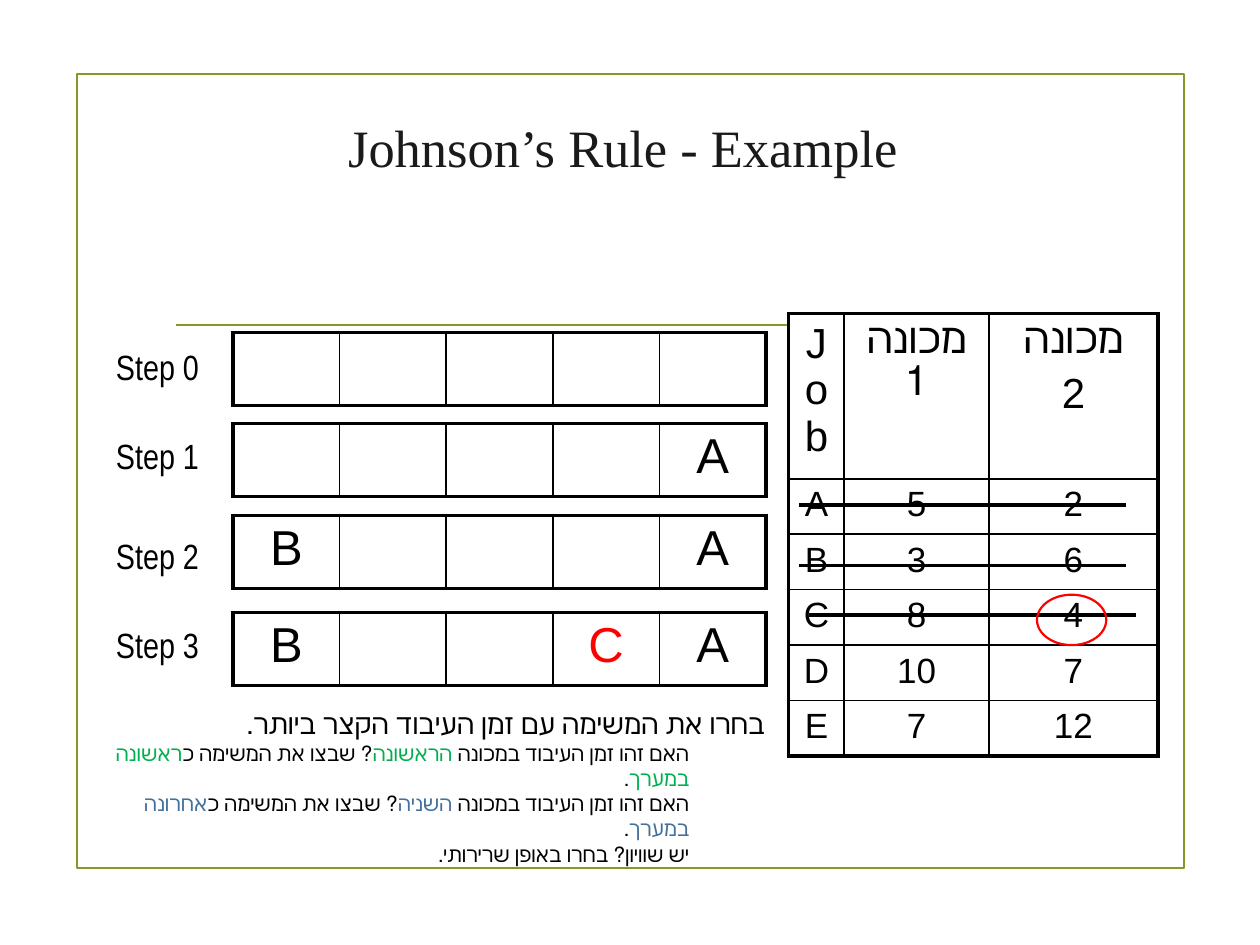
"""Build the Johnson's Rule example slide."""
from dataclasses import dataclass
from typing import NamedTuple

from lxml import etree
from pptx import Presentation, util as u
from pptx.dml.color import RGBColor
from pptx.enum import shapes, text
from pptx.oxml.ns import qn


@dataclass(frozen=True)
class Theme:
    black: str = "000000"
    white: str = "FFFFFF"
    title: str = "1A1A1A"
    olive: str = "83992A"
    red: str = "FF0000"
    green: str = "00B050"
    blue: str = "44709D"
    body_font: str = "Arial"
    label_font: str = "Arial Narrow"
    title_font: str = "Times New Roman"
    title_size: int = 30
    slot_size: int = 28
    heading_size: int = 24
    job_size: int = 20
    rule_size: int = 16
    detail_size: int = 12
    thin: float = 1
    accent: float = 1.25
    strike: float = 2
    thick: float = 2.25


class Step(NamedTuple):
    label: str
    label_top: float
    slots_top: float
    slots: str
    newest: str = ""


class Strike(NamedTuple):
    left: float
    top: float


class Span(NamedTuple):
    words: str
    color: str


class Rule(NamedTuple):
    spans: list[Span]
    size: int
    level: int
    indent: float


THEME = Theme()
STEPS = [
    Step("Step 0", 2.69, 2.64, "     "),
    Step("Step 1", 3.4, 3.36, "    A"),
    Step("Step 2", 4.19, 4.09, "B   A"),
    Step("Step 3", 4.9, 4.86, "B  CA", "C"),
]
JOBS = [
    ("Job", "מכונה 1", "מכונה\n2"),
    ("A", "5", "2"),
    ("B", "3", "6"),
    ("C", "8", "4"),
    ("D", "10", "7"),
    ("E", "7", "12"),
]
JOB_WIDTHS = (0.44, 1.15, 1.34)
HEADING_HEIGHT, JOB_HEIGHT = 1.31, 0.44
STRIKES = [Strike(6.34, 4.01), Strike(6.34, 4.49), Strike(6.42, 4.88)]
STRIKE_LENGTH = 2.6


def detail(*spans: Span) -> Rule:
    return Rule(list(spans), THEME.detail_size, 1, 0.65)


RULES = [
    Rule([Span("בחרו את המשימה עם זמן העיבוד הקצר ביותר.", THEME.black)], THEME.rule_size, 0, 0.05),
    detail(
        Span("האם זהו זמן העיבוד במכונה ", THEME.black),
        Span("הראשונה", THEME.green),
        Span("? שבצו את המשימה כ", THEME.black),
        Span("ראשונה במערך", THEME.green),
        Span(".", THEME.black),
    ),
    detail(
        Span("האם זהו זמן העיבוד במכונה ", THEME.black),
        Span("השניה", THEME.blue),
        Span("? שבצו את המשימה כ", THEME.black),
        Span("אחרונה במערך", THEME.blue),
        Span(".", THEME.black),
    ),
    detail(Span("יש שוויון? בחרו באופן שרירותי.", THEME.black)),
]


def style(paragraph, face: str, size: int, color: str) -> None:
    paragraph.font.name = face
    paragraph.font.size = u.Pt(size)
    paragraph.font.color.rgb = RGBColor.from_string(color)


def align_rtl(paragraph) -> None:
    paragraph.alignment = text.PP_ALIGN.RIGHT
    paragraph._p.get_or_add_pPr().set("rtl", "1")


def add_frame(slide, left: float, top: float, width: float, height: float, inset: float = 0.1):
    frame = slide.shapes.add_textbox(*map(u.Inches, (left, top, width, height))).text_frame
    frame.word_wrap = True
    frame.margin_left = frame.margin_right = u.Inches(inset)
    return frame


def add_outline(slide, preset, left: float, top: float, width: float, height: float, color: str) -> None:
    outline = slide.shapes.add_shape(preset, *map(u.Inches, (left, top, width, height)))
    outline.shadow.inherit = False
    outline.fill.background()
    outline.line.color.rgb = RGBColor.from_string(color)
    outline.line.width = u.Pt(THEME.accent)


def add_line(slide, left: float, top: float, length: float, color: str, weight: float) -> None:
    line = slide.shapes.add_connector(
        shapes.MSO_CONNECTOR.STRAIGHT, *map(u.Inches, (left, top, left + length, top)))
    line.line.color.rgb = RGBColor.from_string(color)
    line.line.width = u.Pt(weight)
    etree.SubElement(line._element.spPr, qn("a:effectLst"))


def add_border(cell, edge: str, weight: float) -> None:
    border = etree.SubElement(cell._tc.get_or_add_tcPr(), qn(f"a:ln{edge}"), w=str(u.Pt(weight)))
    fill = etree.SubElement(border, qn("a:solidFill"))
    etree.SubElement(fill, qn("a:srgbClr"), val=THEME.black)


def add_grid(slide, left: float, top: float, width: float, height: float, rows: int, columns: int):
    grid = slide.shapes.add_table(rows, columns, *map(u.Inches, (left, top, width, height))).table
    grid.first_row = grid.horz_banding = False
    for row in range(rows):
        for column in range(columns):
            cell = grid.cell(row, column)
            outer = {"L": column == 0, "R": column == columns - 1, "T": row == 0, "B": row == rows - 1}
            for edge, is_outer in outer.items():
                add_border(cell, edge, THEME.thick if is_outer else THEME.thin)
            cell.fill.solid()
            cell.fill.fore_color.rgb = RGBColor.from_string(THEME.white)
            cell.margin_left = cell.margin_right = u.Inches(0.11)
    return grid


def write_cell(cell, words: str, size: int, color: str = THEME.black) -> None:
    cell.text = words
    for index, paragraph in enumerate(cell.text_frame.paragraphs):
        paragraph.alignment = text.PP_ALIGN.CENTER
        if index:
            paragraph.space_before = u.Pt(0.2 * size)
        style(paragraph, THEME.body_font, size, color)


def add_step(slide, step: Step) -> None:
    label = add_frame(slide, 0.73, step.label_top, 0.96, 0.45, 0.11).paragraphs[0]
    label.text = step.label
    align_rtl(label)
    style(label, THEME.label_font, THEME.job_size, THEME.black)
    sequence = add_grid(slide, 1.85, step.slots_top, 4.23, 0.58, 1, len(step.slots))
    for column, job in enumerate(step.slots):
        if job.strip():
            color = THEME.red if job == step.newest else THEME.black
            write_cell(sequence.cell(0, column), job, THEME.slot_size, color)


def add_jobs(slide) -> None:
    heights = [HEADING_HEIGHT] + [JOB_HEIGHT] * (len(JOBS) - 1)
    jobs = add_grid(slide, 6.26, 2.49, sum(JOB_WIDTHS), sum(heights), len(JOBS), len(JOB_WIDTHS))
    for column, width in enumerate(JOB_WIDTHS):
        jobs.columns[column].width = u.Inches(width)
    for row, (height, entries) in enumerate(zip(heights, JOBS)):
        jobs.rows[row].height = u.Inches(height)
        for column, entry in enumerate(entries):
            write_cell(jobs.cell(row, column), entry, THEME.job_size if row else THEME.heading_size)


def add_rules(slide) -> None:
    frame = add_frame(slide, 0.68, 5.56, 5.54, 1.38)
    for index, rule in enumerate(RULES):
        paragraph = frame.add_paragraph() if index else frame.paragraphs[0]
        align_rtl(paragraph)
        paragraph.level = rule.level
        properties = paragraph._p.get_or_add_pPr()
        properties.set("marL", str(u.Inches(rule.indent)))
        properties.set("indent", "0")
        style(paragraph, THEME.body_font, rule.size, THEME.black)
        for span in rule.spans:
            run = paragraph.add_run()
            run.text = span.words
            if span.color != THEME.black:
                run.font.color.rgb = RGBColor.from_string(span.color)


def main() -> None:
    deck = Presentation()
    deck.slide_width, deck.slide_height = u.Inches(10), u.Inches(7.5)
    slide = deck.slides.add_slide(deck.slide_layouts[6])
    add_outline(slide, shapes.MSO_SHAPE.RECTANGLE, 0.61, 0.59, 8.79, 6.3, THEME.olive)
    add_line(slide, 1.4, 2.58, 7.21, THEME.olive, THEME.accent)
    heading = add_frame(slide, 1.61, 0.71, 6.67, 0.91)
    heading.vertical_anchor = text.MSO_ANCHOR.MIDDLE
    title = heading.paragraphs[0]
    title.text = "Johnson’s Rule - Example"
    title.alignment = text.PP_ALIGN.CENTER
    style(title, THEME.title_font, THEME.title_size, THEME.title)
    for step in STEPS:
        add_step(slide, step)
    add_jobs(slide)
    for strike in STRIKES:
        add_line(slide, strike.left, strike.top, STRIKE_LENGTH, THEME.black, THEME.strike)
    add_outline(slide, shapes.MSO_SHAPE.OVAL, 8.23, 4.72, 0.55, 0.4, THEME.red)
    add_rules(slide)
    deck.save("out.pptx")


if __name__ == "__main__":
    main()
